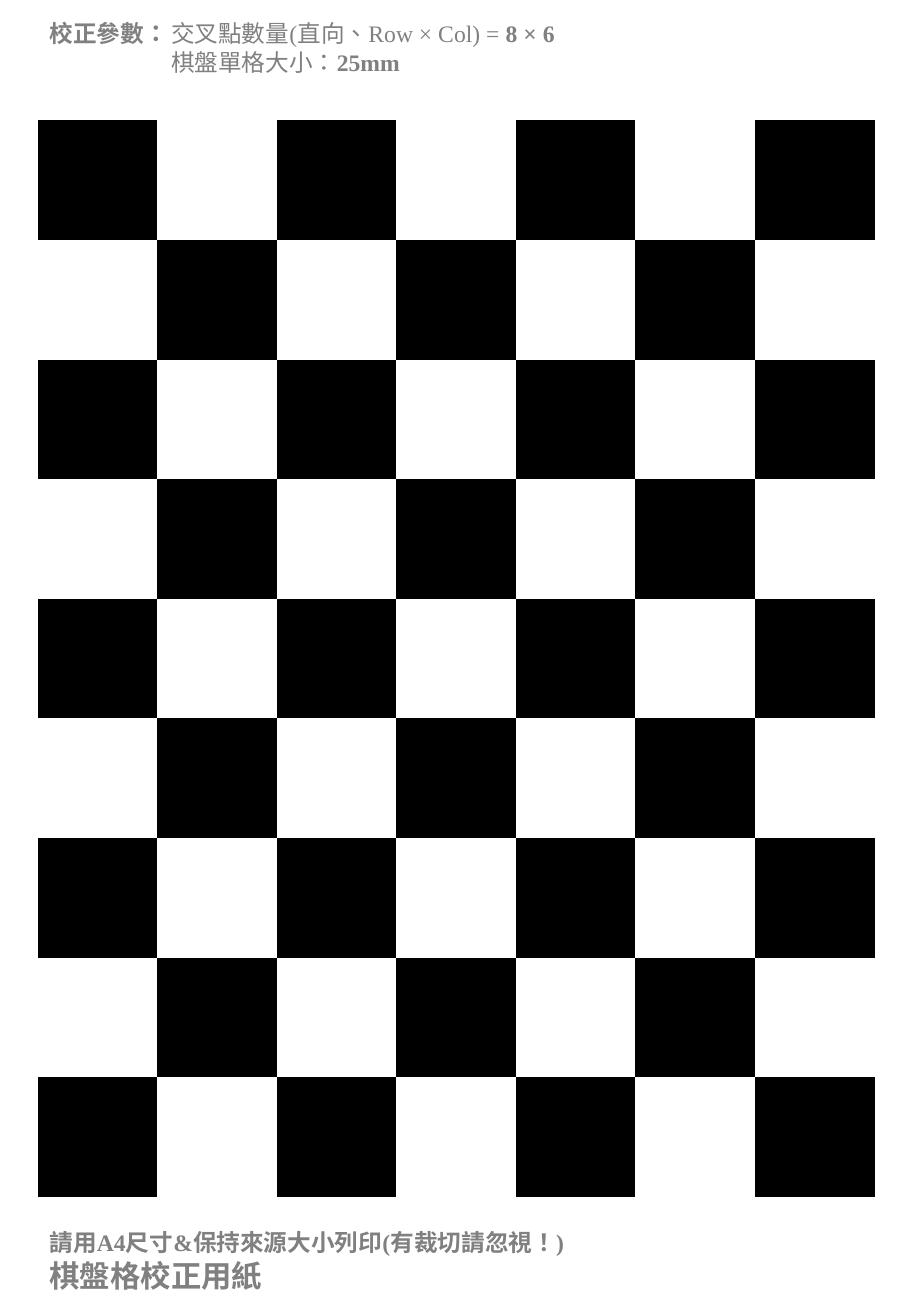
from dataclasses import dataclass
from lxml.etree import SubElement
from pptx import Presentation
from pptx.dml.color import RGBColor
from pptx.enum.lang import MSO_LANGUAGE_ID
from pptx.oxml.ns import qn
from pptx.util import Inches, Pt


@dataclass(frozen=True)
class Theme:
    font: str = "Times New Roman"
    gray: str = "808080"
    black: str = "000000"
    body: int = 14
    title: int = 18
    plain: str = "{2D5ABB26-0587-4C30-8999-92F81FD0307C}"


THEME = Theme()
SIDE = 25 / 25.4
ROWS, COLS = 9, 7


def add_run(line, text, size=THEME.body, bold=True, color=THEME.gray):
    run = line.add_run()
    run.text = text
    font = run.font
    font.name = THEME.font
    font.size = Pt(size)
    font.bold = bold
    font.color.rgb = RGBColor.from_string(color)
    font.language_id = MSO_LANGUAGE_ID.TRADITIONAL_CHINESE


def add_tabs(line, stops):
    tabs = SubElement(line._p.get_or_add_pPr(), qn("a:tabLst"))
    for stop in stops:
        SubElement(tabs, qn("a:tab"), pos=str(Inches(stop)), algn="l")


def add_box(slide, left, top, width, height):
    frame = slide.shapes.add_textbox(
        Inches(left), Inches(top), Inches(width), Inches(height)).text_frame
    frame.word_wrap = True
    return frame


def add_head(slide, left, top, width, height):
    frame = add_box(slide, left, top, width, height)
    count, size = frame.paragraphs[0], frame.add_paragraph()
    for line in (count, size):
        add_tabs(line, (0.5, 1))
    add_run(count, "校正參數：\t")
    add_run(count, "交叉點數量(直向、Row × Col) = ", bold=False)
    add_run(count, "8 × 6")
    add_run(size, "\t\t棋盤單格大小：", bold=False)
    add_run(size, "25mm")


def add_board(slide, left, top, side):
    frame = slide.shapes.add_table(
        ROWS, COLS, Inches(left), Inches(top),
        Inches(side * COLS), Inches(side * ROWS))
    table = frame.table
    table.first_row = False
    table.horz_banding = False
    table._tbl.tblPr.find(qn("a:tableStyleId")).text = THEME.plain
    for part in table.columns:
        part.width = Inches(side)
    for part in table.rows:
        part.height = Inches(side)
    for row in range(ROWS):
        for col in range(COLS):
            fill = table.cell(row, col).fill
            if (row + col) % 2:
                fill.background()
            else:
                fill.solid()
                fill.fore_color.rgb = RGBColor.from_string(THEME.black)


def add_foot(slide, left, top, width, height):
    frame = add_box(slide, left, top, width, height)
    add_run(frame.paragraphs[0], "請用A4尺寸&保持來源大小列印(有裁切請忽視！)")
    add_run(frame.add_paragraph(), "棋盤格校正用紙", size=THEME.title)


def main():
    deck = Presentation()
    deck.slide_width = Inches(7.5)
    deck.slide_height = Inches(10.83)
    slide = deck.slides.add_slide(deck.slide_layouts[6])
    left, width = 0.31, SIDE * COLS
    add_board(slide, left, 0.99, SIDE)
    add_head(slide, left, 0.11, width, 0.57)
    add_foot(slide, left, 10.06, width, 0.64)
    deck.save("out.pptx")


if __name__ == "__main__":
    main()
